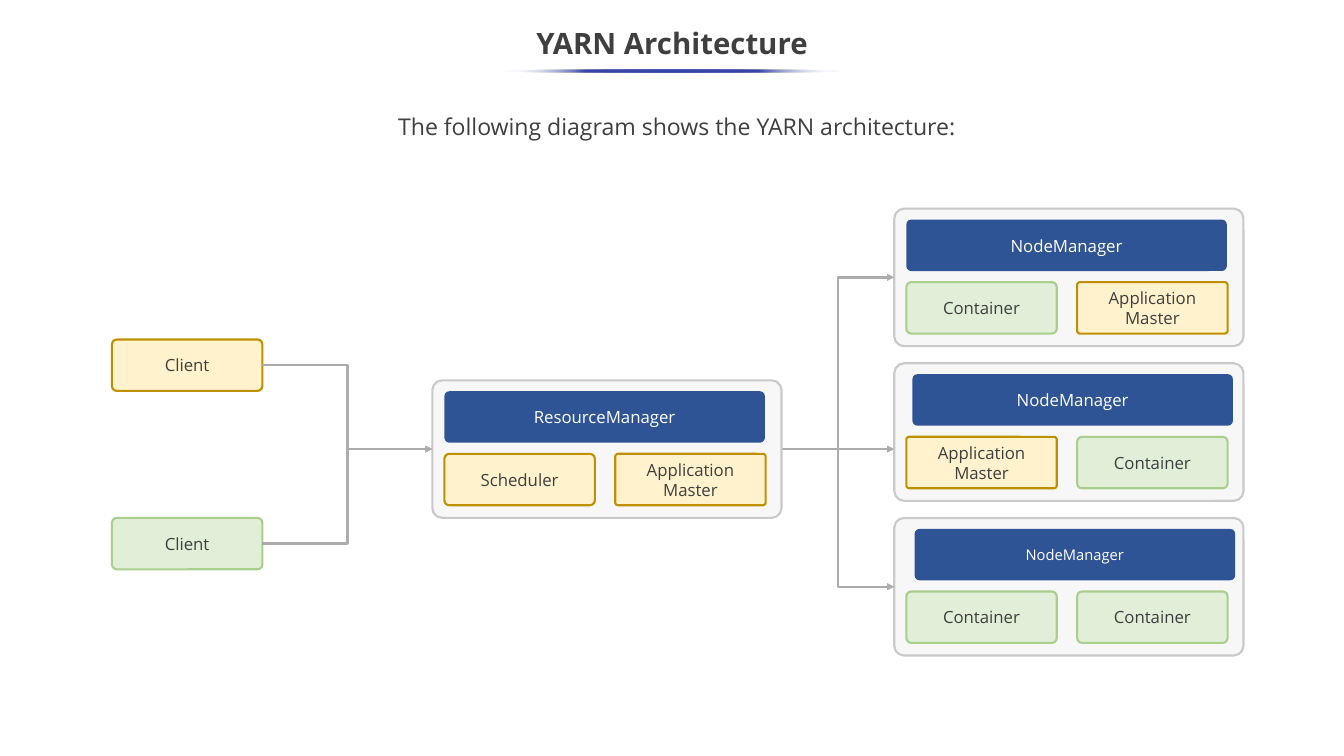
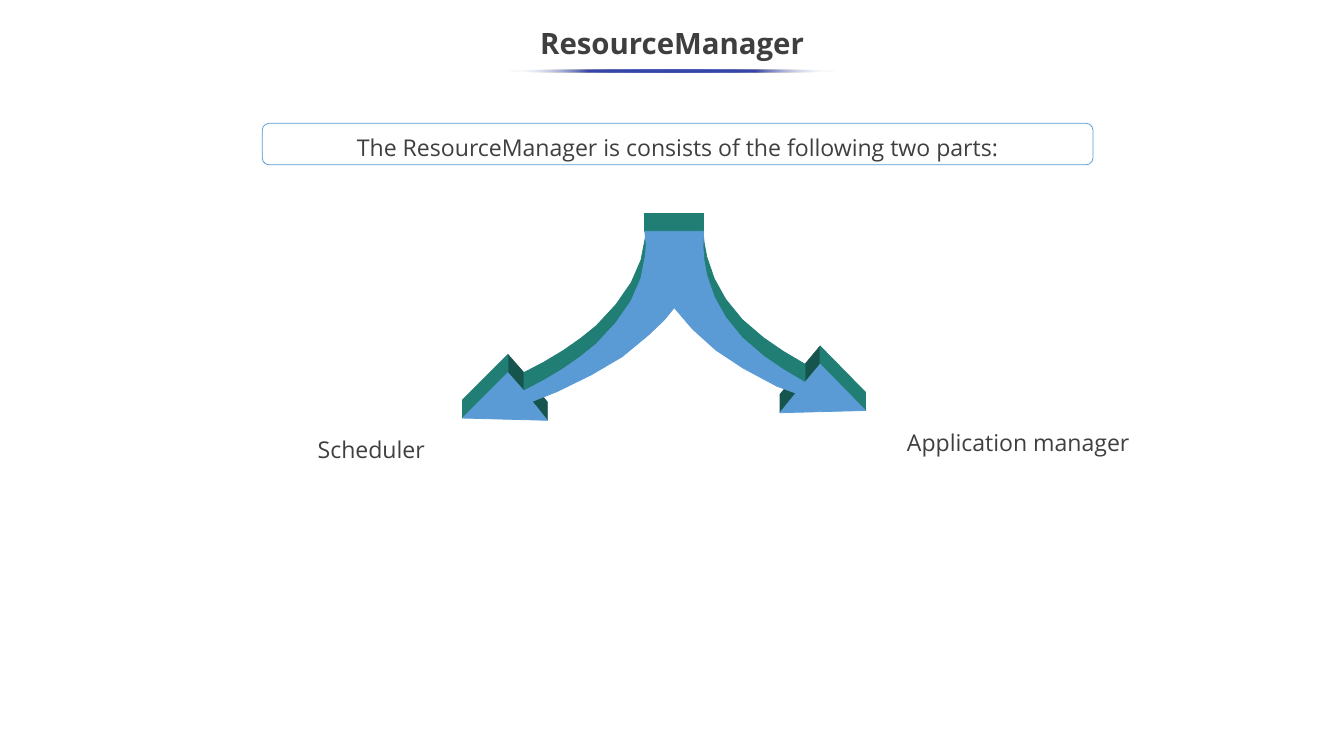
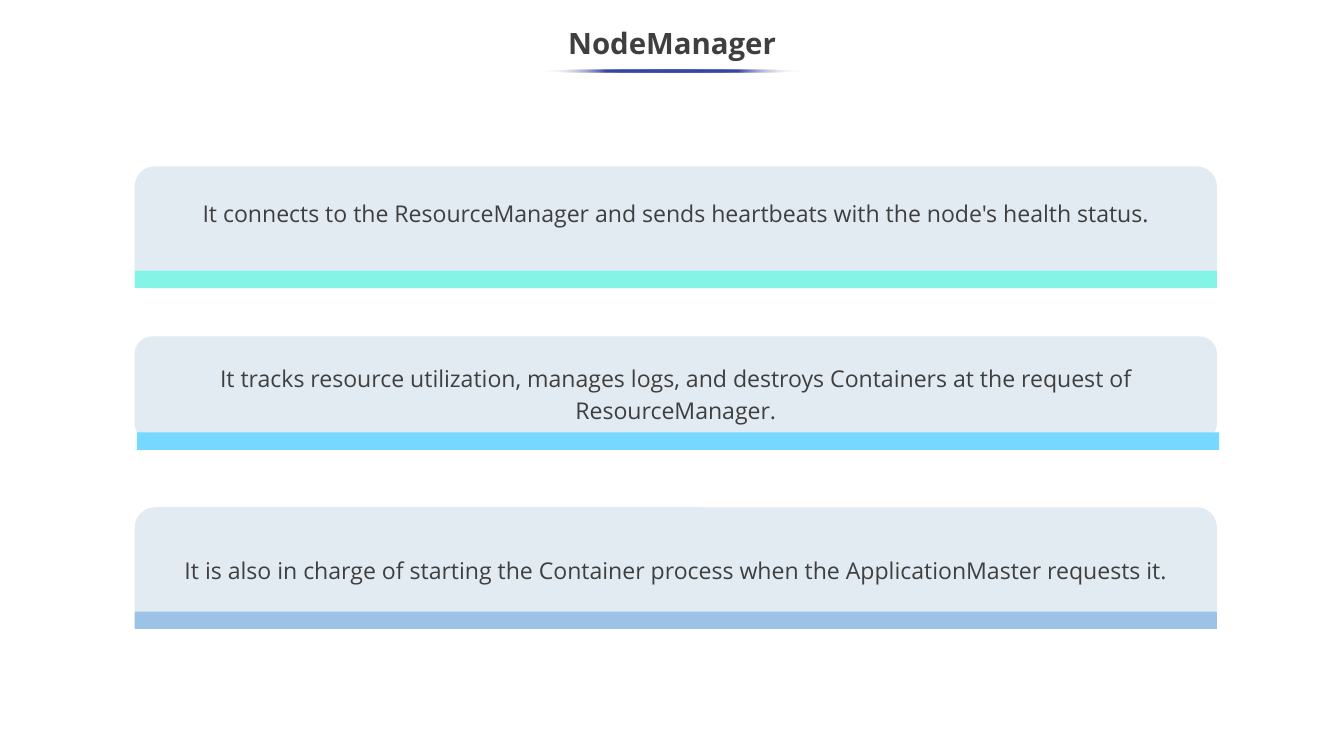
from pptx import Presentation
from pptx.dml.color import RGBColor
from pptx.enum.shapes import MSO_CONNECTOR, MSO_SHAPE
from pptx.enum.text import MSO_ANCHOR, MSO_AUTO_SIZE, PP_ALIGN
from pptx.oxml import parse_xml
from pptx.oxml.ns import nsdecls, qn
from pptx.util import Pt

# Shared look
FONT = "Open Sans"
INK, WHITE = "3F3F3F", "FFFFFF"
PANEL, PANEL_LINE, NAVY, ARROW = "F7F7F7", "C9C9C9", "2F5496", "AEABAB"
YELLOW = ("FFF2CC", "BF9000")
GREEN = ("E1EFD8", "A8D08C")
BLUE, TEAL, DARK_TEAL, MIST = "5B9BD5", "217E75", "16544E", "E2EBF2"
RULE = "3645A9"
PAGE_WIDTH, PAGE_HEIGHT = 1280.16, 720
BODY_SIZE, BODY_SPACING = 22, 1.15

# Sizes in the architecture diagram
PANEL_WIDTH, PANEL_HEIGHT = 332.6, 131
CELL_WIDTH, CELL_HEIGHT = 143.3, 49
HEADER_WIDTH = 305.3
APPLICATION_MASTER = ("Application\nMaster", YELLOW, 0.053)
CONTAINER = ("Container", GREEN, 0.095)
SCHEDULER = ("Scheduler", YELLOW, 0.095)

# Branching arrow: front outline and depth of its extruded sides
DEPTH = 17.4
LEFT_HEAD = [(521.3, 400.3), (440.6, 398.2), (483.8, 355), (499, 372.3)]
LEFT_EDGE = [(499, 372.3), (518.4, 362.2), (536.4, 351.4), (553, 339.8),
             (568.1, 327.6), (586.8, 307.4), (601.2, 286.6), (610.6, 265),
             (614.9, 242.6), (615.6, 233.3)]
RIGHT_EDGE = [(669.6, 235.4), (670.6, 248), (673.2, 262.1), (680.4, 283),
              (691.2, 302.4), (707, 321.8), (727.2, 339.1), (746, 352),
              (766.8, 364.3)]
RIGHT_HEAD = [(766.8, 364.3), (781.2, 347), (824.4, 391), (743, 393.1), (758.2, 374.4)]
INNER_EDGE = [(740.2, 367.9), (707.8, 350.6), (681.8, 333.4), (659.5, 313.2),
              (642.2, 293), (632.9, 304.6), (617.8, 319), (592.6, 339.8),
              (563, 357.1), (530.6, 373), (506.9, 382.3)]


def color(value):
    return RGBColor.from_string(value)


def paint(shape, fill=None, line=None, width=0.75):
    shape.shadow.inherit = False
    if fill:
        shape.fill.solid()
        shape.fill.fore_color.rgb = color(fill)
    else:
        shape.fill.background()
    if line:
        shape.line.color.rgb = color(line)
        shape.line.width = Pt(width)
    else:
        shape.line.fill.background()


def write(shape, text, size, ink=INK, bold=False, align=PP_ALIGN.CENTER,
          anchor=MSO_ANCHOR.MIDDLE, spacing=None):
    frame = shape.text_frame
    frame.text = text
    frame.word_wrap = True
    frame.auto_size = MSO_AUTO_SIZE.NONE
    frame.vertical_anchor = anchor
    for para in frame.paragraphs:
        para.alignment = align
        para.line_spacing = spacing
        para.font.name = FONT
        para.font.size = Pt(size)
        para.font.bold = bold
        para.font.color.rgb = color(ink)
    return frame


def add_box(page, left, top, width, height, fill=None, line=None,
            line_width=2, corner=0.167, kind=MSO_SHAPE.ROUNDED_RECTANGLE):
    box = page.shapes.add_shape(kind, Pt(left), Pt(top), Pt(width), Pt(height))
    if kind == MSO_SHAPE.ROUNDED_RECTANGLE:
        box.adjustments[0] = corner
    paint(box, fill, line, line_width)
    return box


def add_caption(page, text, left, top, width, **look):
    box = add_box(page, left, top, width, 39.6, **look)
    write(box, text, BODY_SIZE, anchor=MSO_ANCHOR.TOP, spacing=BODY_SPACING)


def add_label(page, text, left, top, width, align):
    box = page.shapes.add_textbox(Pt(left), Pt(top), Pt(width), Pt(88.6))
    write(box, text, BODY_SIZE, align=align, anchor=MSO_ANCHOR.TOP, spacing=BODY_SPACING)


def add_page(deck, title, rule_width):
    """Slide with a centred title above a rule that fades at both ends."""
    page = deck.slides.add_slide(deck.slide_layouts[5])
    head = page.shapes.title
    head.left, head.top, head.width, head.height = Pt(-0.7), Pt(10.8), Pt(1281.6), Pt(54)
    write(head, title, 28, bold=True, spacing=BODY_SPACING)
    rule = add_box(page, (PAGE_WIDTH - rule_width) / 2, 66.2, rule_width, 2.9,
                   fill=RULE, kind=MSO_SHAPE.OVAL)
    end = f'<a:srgbClr val="{WHITE}"><a:alpha val="0"/></a:srgbClr>'
    middle = f'<a:srgbClr val="{RULE}"/>'
    stops = "".join(f'<a:gs pos="{place * 1000}">{middle if 0 < place < 100 else end}</a:gs>'
                    for place in range(0, 101, 25))
    properties = rule.element.spPr
    properties.replace(properties.find(qn("a:solidFill")), parse_xml(
        f'<a:gradFill {nsdecls("a")} rotWithShape="1"><a:gsLst>{stops}</a:gsLst>'
        '<a:lin ang="10800000" scaled="0"/></a:gradFill>'))
    return page


def add_arrow(page, start, end):
    kind = MSO_CONNECTOR.STRAIGHT if start[1] == end[1] else MSO_CONNECTOR.ELBOW
    arrow = page.shapes.add_connector(kind, *(Pt(value) for value in (*start, *end)))
    arrow.line.color.rgb = color(ARROW)
    arrow.line.width = Pt(2.25)
    arrow.line._get_or_add_ln().append(parse_xml(f'<a:tailEnd {nsdecls("a")} type="triangle"/>'))
    arrow.element.spPr.append(parse_xml(f'<a:effectLst {nsdecls("a")}/>'))


def add_cell(page, left, top, text, tones, corner):
    cell = add_box(page, left, top, CELL_WIDTH, CELL_HEIGHT, *tones, corner=corner)
    write(cell, text, 16)


def add_panel(page, left, top, header, cells, header_offset=11.5, header_size=16):
    """Panel with a header bar above two cells."""
    add_box(page, left, top, PANEL_WIDTH, PANEL_HEIGHT, PANEL, PANEL_LINE, corner=0.071)
    bar = add_box(page, left + header_offset, top + 10.4, HEADER_WIDTH, CELL_HEIGHT,
                  NAVY, corner=0.095)
    write(bar, header, header_size, WHITE)
    for offset, cell in zip((11.5, 174.2), cells):
        add_cell(page, left + offset, top + 70, *cell)


def add_outline(page, points, fill):
    corners = [(Pt(x), Pt(y)) for x, y in points]
    builder = page.shapes.build_freeform(*corners[0])
    builder.add_line_segments(corners[1:], close=True)
    paint(builder.convert_to_shape(), fill, fill)


def add_side(page, edge, fill):
    """Face between an edge and the same edge raised by the depth."""
    add_outline(page, edge + [(x, y - DEPTH) for x, y in reversed(edge)], fill)


def add_branching_arrow(page):
    for edge in ([INNER_EDGE[-1], LEFT_HEAD[0]], RIGHT_HEAD[3:],
                 LEFT_HEAD[2:], RIGHT_HEAD[:2]):
        add_side(page, edge, DARK_TEAL)
    for edge in (LEFT_HEAD[1:3], RIGHT_HEAD[1:3], RIGHT_EDGE, LEFT_EDGE):
        add_side(page, edge, TEAL)
    add_box(page, 614.2, 203, 56.2, 17.3, TEAL, TEAL, 0.75, kind=MSO_SHAPE.RECTANGLE)
    stem_top = [(614.2, 220.3), (670.3, 220.3)]
    add_outline(page, LEFT_HEAD + LEFT_EDGE[1:] + stem_top + RIGHT_EDGE
                + RIGHT_HEAD[1:] + INNER_EDGE, BLUE)


def add_card(page, text, top, height, bar_top, bar_color, bar_left=128.2,
             inset_top=3.6, inset_bottom=3.6):
    """Rounded card with a coloured bar along its foot."""
    card = add_box(page, 128.2, top, 1031, height, MIST)
    frame = write(card, text, BODY_SIZE, spacing=BODY_SPACING)
    frame.margin_top, frame.margin_bottom = Pt(inset_top), Pt(inset_bottom)
    add_box(page, bar_left, bar_top, 1031, 16.6, bar_color, kind=MSO_SHAPE.RECTANGLE)


def build_architecture(deck):
    page = add_page(deck, "YARN Architecture", 326.9)
    node_left, node_top, node_pitch = 851.8, 198.7, 147.3
    manager_left, manager_top = 411.8, 362.2
    client_left = 106.6
    manager_middle = manager_top + PANEL_HEIGHT / 2
    manager_right = manager_left + PANEL_WIDTH

    # Node managers, each with its header offset and size
    nodes = [((CONTAINER, APPLICATION_MASTER), 11.5, 16),
             ((APPLICATION_MASTER, CONTAINER), 17.3, 16),
             ((CONTAINER, CONTAINER), 19.4, 14)]
    for row, (cells, offset, size) in enumerate(nodes):
        top = node_top + row * node_pitch
        add_panel(page, node_left, top, "NodeManager", cells, offset, size)
        end = manager_middle if row == 1 else top + PANEL_HEIGHT / 2
        add_arrow(page, (manager_right, manager_middle), (node_left, end))

    add_panel(page, manager_left, manager_top, "ResourceManager",
              (SCHEDULER, APPLICATION_MASTER))

    # Clients
    for top, tones in ((323.3, YELLOW), (493.2, GREEN)):
        add_cell(page, client_left, top, "Client", tones, 0.095)
        add_arrow(page, (client_left + CELL_WIDTH, top + CELL_HEIGHT / 2),
                  (manager_left, manager_middle))

    add_caption(page, "The following diagram shows the YARN architecture:",
                316, 97.9, 657.4, fill=WHITE, line=WHITE)


def build_resource_manager(deck):
    page = add_page(deck, "ResourceManager", 314.6)
    add_branching_arrow(page)
    add_label(page, "Scheduler", 162, 406.8, 249.8, PP_ALIGN.RIGHT)
    add_label(page, "Application manager", 856.8, 400.3, 344.2, PP_ALIGN.LEFT)
    add_caption(page, "The ResourceManager is consists of the following two parts:",
                249.8, 117.4, 791.3, line=BLUE, line_width=0.75)


def build_node_manager(deck):
    page = add_page(deck, "NodeManager", 247.7)
    add_card(page, "It connects to the ResourceManager and sends heartbeats with "
             "the node's health status.", 158.4, 115.9, 257.8, "84F4E7", inset_bottom=34.6)
    add_card(page, "It tracks resource utilization, manages logs, and destroys Containers "
             "at the request of ResourceManager.", 320.4, 99.4, 411.8, "76D8FF",
             bar_left=130.3, inset_top=10)
    add_card(page, "It is also in charge of starting the Container process when the "
             "ApplicationMaster requests it.", 483.1, 115.9, 582.5, "9CC2E5")


def main():
    deck = Presentation()
    deck.slide_width, deck.slide_height = Pt(PAGE_WIDTH), Pt(PAGE_HEIGHT)
    build_architecture(deck)
    build_resource_manager(deck)
    build_node_manager(deck)
    deck.save("out.pptx")


if __name__ == "__main__":
    main()
